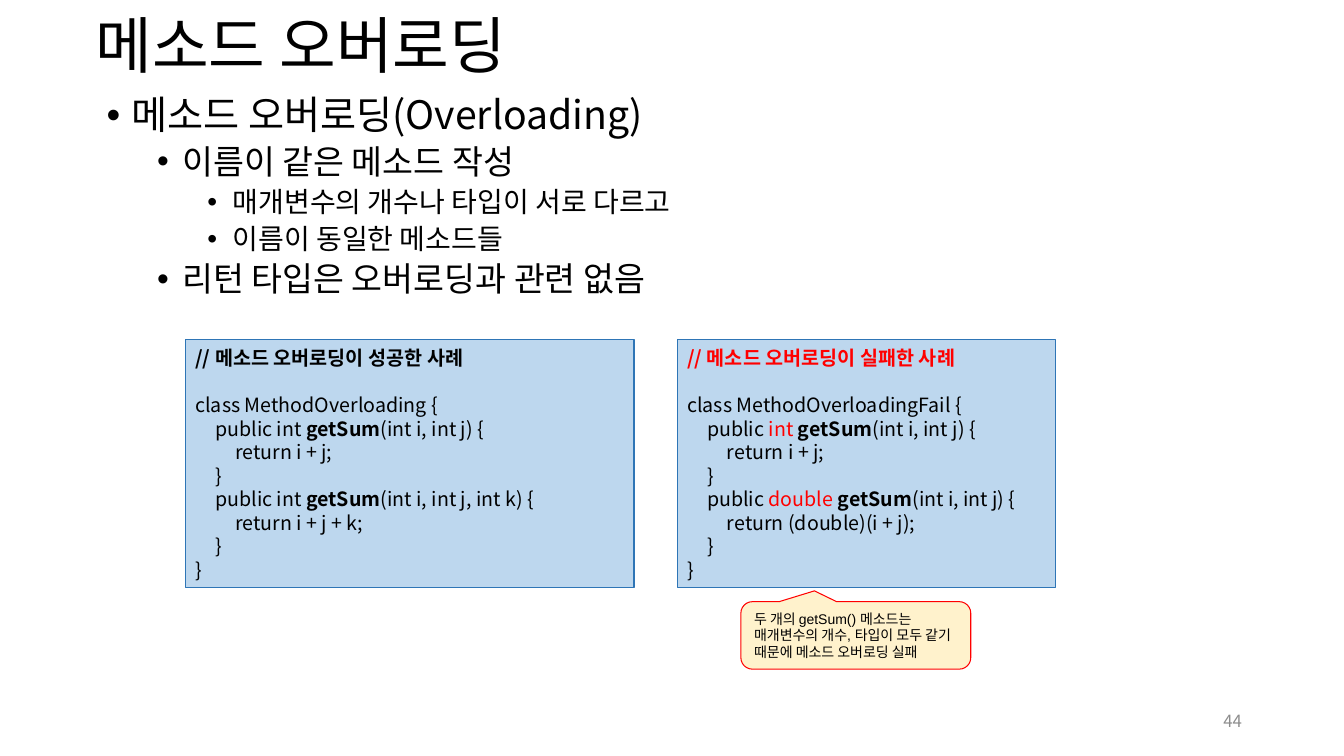
"""Build the slide on method overloading."""
from lxml.etree import SubElement
from pptx import Presentation
from pptx.dml.color import RGBColor
from pptx.enum.shapes import MSO_SHAPE
from pptx.enum.text import MSO_ANCHOR, PP_ALIGN
from pptx.oxml.ns import qn
from pptx.util import Pt

FONT = "Noto Sans CJK KR"
HUES = {"black": "000000", "red": "FF0000", "gray": "8C8C8C", "blue": "BDD7EE",
        "edge": "2E75B6", "cream": "FFF2CC"}


def style(run, size, hue="black", bold=False, face=FONT):
    run.font.size = Pt(size)
    run.font.bold = bold
    run.font.name = face
    run.font.color.rgb = RGBColor.from_string(HUES[hue])
    SubElement(run.font._element, qn("a:ea"), typeface=FONT)


def panel(kind, left, top, width, height, fill, edge):
    shape = slide.shapes.add_shape(kind, Pt(left), Pt(top), Pt(width), Pt(height))
    shape.shadow.inherit = False
    shape.fill.solid()
    shape.fill.fore_color.rgb = RGBColor.from_string(HUES[fill])
    shape.line.color.rgb = RGBColor.from_string(HUES[edge])
    shape.line.width = Pt(0.75)
    shape.text_frame.word_wrap = True
    return shape


deck = Presentation()
deck.slide_width, deck.slide_height = Pt(960), Pt(540)
slide = deck.slides.add_slide(deck.slide_layouts[6])

title = slide.shapes.add_textbox(Pt(61.2), Pt(0), Pt(828), Pt(69.8)).text_frame
title.word_wrap = True
title.vertical_anchor = MSO_ANCHOR.MIDDLE
title.text = "메소드 오버로딩"
title.paragraphs[0].line_spacing = 0.9
style(title.paragraphs[0].runs[0], 44)

points = [
    (0, "메소드 오버로딩(Overloading)"),
    (1, "이름이 같은 메소드 작성"),
    (2, "매개변수의 개수나 타입이 서로 다르고"),
    (2, "이름이 동일한 메소드들"),
    (1, "리턴 타입은 오버로딩과 관련 없음"),
]
body = slide.shapes.add_textbox(Pt(69.1), Pt(64.8), Pt(642.2), Pt(185.8)).text_frame
body.word_wrap = True
body.text = "\n".join(text for level, text in points)
for index, (level, text) in enumerate(points):
    par = body.paragraphs[index]
    par.level = level
    par.line_spacing = 0.9
    par.space_before = Pt(5 if index else 0)
    props = par._p.get_or_add_pPr()
    props.set("marL", str(Pt(18 + 36 * level)))
    props.set("indent", str(Pt(-18)))
    SubElement(props, qn("a:buFont"), typeface="Arial")
    SubElement(props, qn("a:buChar"), char="•")
    style(par.runs[0], 28 - 4 * level)

cases = [
    (132.5, 320.4, "black", [
        "// 메소드 오버로딩이 성공한 사례",
        "class MethodOverloading {",
        "\tpublic int |getSum|(int i, int j) {",
        "\t\treturn i + j;",
        "\t}",
        "\tpublic int |getSum|(int i, int j, int k) {",
        "\t\treturn i + j + k;",
        "\t}",
        "}",
    ]),
    (483.8, 270, "red", [
        "// 메소드 오버로딩이 실패한 사례",
        "class MethodOverloadingFail {",
        "\tpublic |int |getSum|(int i, int j) {",
        "\t\treturn i + j;",
        "\t}",
        "\tpublic |double |getSum|(int i, int j) {",
        "\t\treturn (double)(i + j);",
        "\t}",
        "}",
    ]),
]
for left, width, hue, lines in cases:
    code = panel(MSO_SHAPE.RECTANGLE, left, 242.6, width, 177.1, "blue", "edge").text_frame
    for index, line in enumerate(lines):
        par = code.add_paragraph() if index else code.paragraphs[0]
        par.alignment = PP_ALIGN.LEFT
        if index == 0:
            par.space_after = Pt(16.8)
        stops = SubElement(par._p.get_or_add_pPr(), qn("a:tabLst"))
        for step in (1, 2):
            SubElement(stops, qn("a:tab"), pos=str(Pt(14.2 * step)), algn="l")
        for part in line.split("|"):
            run = par.add_run()
            run.text = part
            tone = "red" if part in ("int ", "double ") else "black"
            style(run, 14, tone if index else hue, index == 0 or part == "getSum")

page = slide.shapes.add_textbox(Pt(678.2), Pt(500.4), Pt(216), Pt(28.8)).text_frame
page.word_wrap = True
page.vertical_anchor = MSO_ANCHOR.MIDDLE
page.text = "44"
page.paragraphs[0].alignment = PP_ALIGN.RIGHT
style(page.paragraphs[0].runs[0], 12, "gray")

note = panel(MSO_SHAPE.ROUNDED_RECTANGULAR_CALLOUT, 529.2, 429.8, 164.2, 48.2, "cream", "red")
for index, value in enumerate((-0.18, -0.66, 0.17)):
    note.adjustments[index] = value
note.text_frame.text = "두 개의 getSum() 메소드는 매개변수의 개수, 타입이 모두 같기 때문에 메소드 오버로딩 실패"
note.text_frame.paragraphs[0].alignment = PP_ALIGN.LEFT
style(note.text_frame.paragraphs[0].runs[0], 10, face="Arial")

deck.save("out.pptx")
